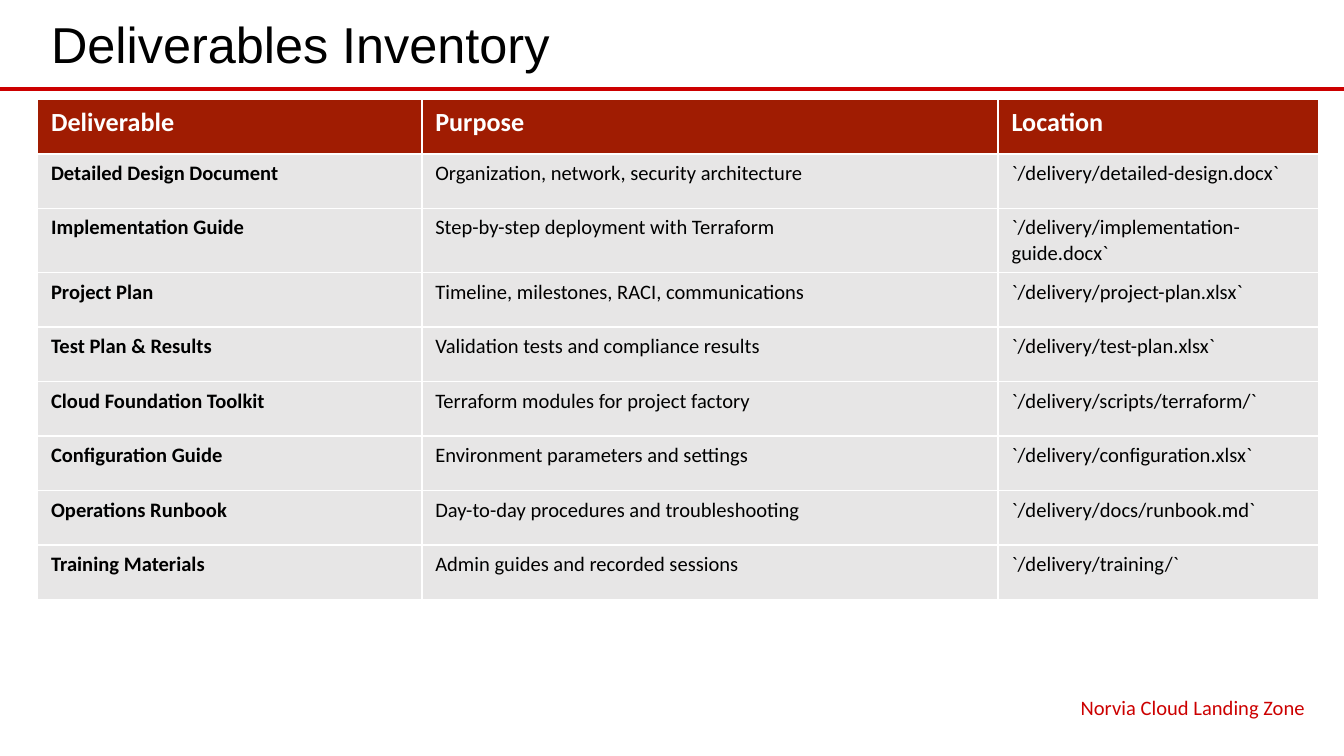
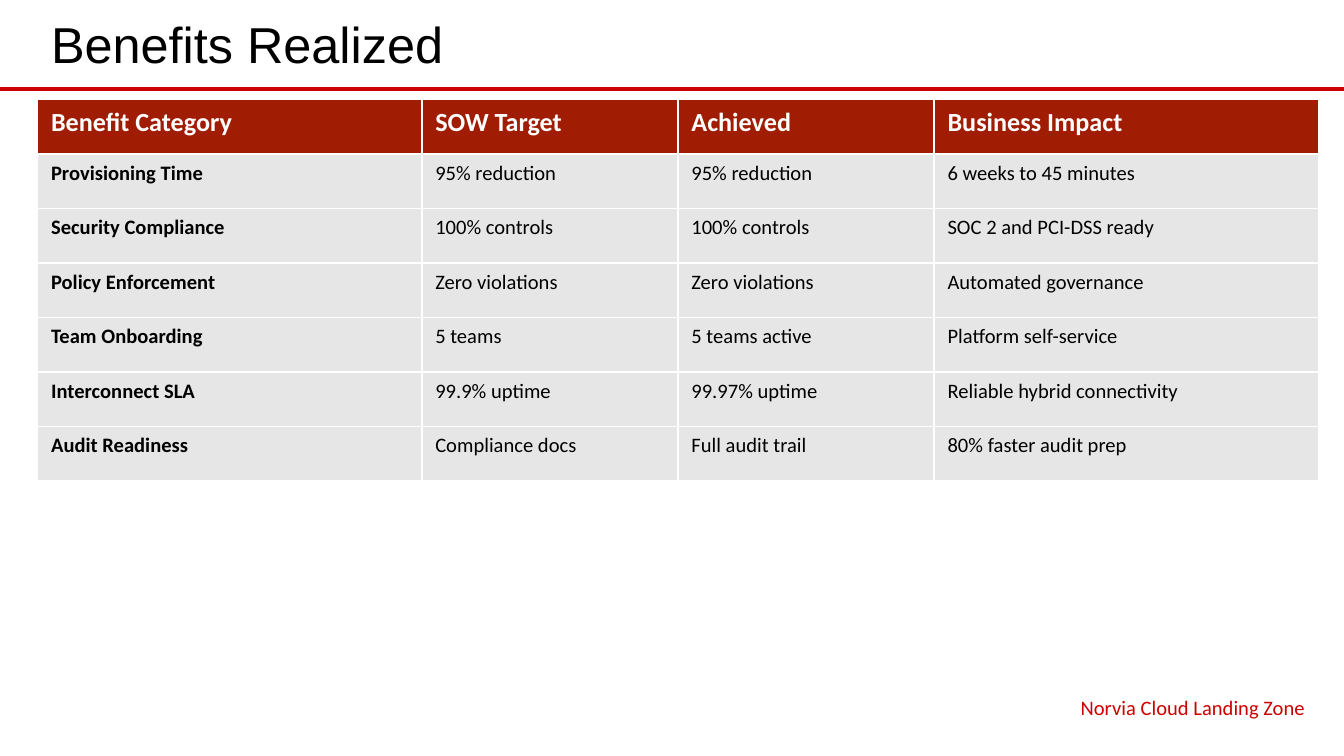
from dataclasses import dataclass

from lxml.etree import SubElement
from pptx import Presentation
from pptx.dml.color import RGBColor
from pptx.enum.shapes import MSO_CONNECTOR
from pptx.enum.text import MSO_ANCHOR as Anchor, MSO_AUTO_SIZE as AutoSize, PP_ALIGN as Align
from pptx.oxml.ns import qn
from pptx.presentation import Presentation as Deck
from pptx.shapes.placeholder import SlidePlaceholder
from pptx.slide import Slide
from pptx.util import Inches, Pt

RED = RGBColor(0xCC, 0x00, 0x00)
DARK_RED = RGBColor(0xA0, 0x1C, 0x02)
GRAY = RGBColor(0xE7, 0xE6, 0xE6)
WHITE = RGBColor(0xFF, 0xFF, 0xFF)
BLACK = RGBColor(0x00, 0x00, 0x00)

SLIDE_WIDTH = Inches(10)
SLIDE_HEIGHT = SLIDE_WIDTH * 9 // 16
LEFT, WIDTH = Inches(0.28), Inches(9.53)
TABLE_TOP = Inches(0.74)
ROW_HEIGHT = Inches(3.65) // 9
RULE_TOP = Inches(0.66)
FOOTER = "Norvia Cloud Landing Zone"


@dataclass(frozen=True)
class TextStyle:
    font: str
    size: int
    color: RGBColor
    bold: bool = False


@dataclass(frozen=True)
class TableSlide:
    title: str
    shares: tuple[float, ...]
    header: tuple[str, ...]
    rows: tuple[tuple[str, ...], ...]


TITLE_STYLE = TextStyle("Arial", 27, BLACK)
FOOTER_STYLE = TextStyle("Calibri", 11, RED)
HEADER_STYLE = TextStyle("Calibri", 14, WHITE, True)
LABEL_STYLE = TextStyle("Calibri", 11, BLACK, True)
BODY_STYLE = TextStyle("Calibri", 11, BLACK)

SLIDES = (
    TableSlide(
        "Deliverables Inventory",
        (0.3, 0.45, 0.25),
        ("Deliverable", "Purpose", "Location"),
        (
            ("Detailed Design Document", "Organization, network, security architecture",
             "`/delivery/detailed-design.docx`"),
            ("Implementation Guide", "Step-by-step deployment with Terraform",
             "`/delivery/implementation-guide.docx`"),
            ("Project Plan", "Timeline, milestones, RACI, communications",
             "`/delivery/project-plan.xlsx`"),
            ("Test Plan & Results", "Validation tests and compliance results",
             "`/delivery/test-plan.xlsx`"),
            ("Cloud Foundation Toolkit", "Terraform modules for project factory",
             "`/delivery/scripts/terraform/`"),
            ("Configuration Guide", "Environment parameters and settings",
             "`/delivery/configuration.xlsx`"),
            ("Operations Runbook", "Day-to-day procedures and troubleshooting",
             "`/delivery/docs/runbook.md`"),
            ("Training Materials", "Admin guides and recorded sessions",
             "`/delivery/training/`"),
        ),
    ),
    TableSlide(
        "Benefits Realized",
        (0.3, 0.2, 0.2, 0.3),
        ("Benefit Category", "SOW Target", "Achieved", "Business Impact"),
        (
            ("Provisioning Time", "95% reduction", "95% reduction", "6 weeks to 45 minutes"),
            ("Security Compliance", "100% controls", "100% controls", "SOC 2 and PCI-DSS ready"),
            ("Policy Enforcement", "Zero violations", "Zero violations", "Automated governance"),
            ("Team Onboarding", "5 teams", "5 teams active", "Platform self-service"),
            ("Interconnect SLA", "99.9% uptime", "99.97% uptime", "Reliable hybrid connectivity"),
            ("Audit Readiness", "Compliance docs", "Full audit trail", "80% faster audit prep"),
        ),
    ),
)


def style_text(p, style: TextStyle) -> None:
    for r in p.runs:
        r.font.name = style.font
        r.font.size = Pt(style.size)
        r.font.bold = style.bold
        r.font.color.rgb = style.color


def fill_placeholder(sp: SlidePlaceholder, box: tuple[int, int, int, int], text: str,
                     style: TextStyle, align: Align, anchor: Anchor) -> None:
    sp.left, sp.top, sp.width, sp.height = box
    tf = sp.text_frame
    tf.text = text
    tf.word_wrap = True
    tf.auto_size = AutoSize.NONE
    tf.vertical_anchor = anchor
    p = tf.paragraphs[0]
    pPr = p._p.get_or_add_pPr()
    pPr.set("marL", "0")
    pPr.set("indent", "0")
    SubElement(pPr, qn("a:buNone"))
    p.alignment = align
    p.space_before = Pt(0)
    style_text(p, style)


def add_rule(s: Slide) -> None:
    rule = s.shapes.add_connector(MSO_CONNECTOR.STRAIGHT, 0, RULE_TOP, SLIDE_WIDTH, RULE_TOP)
    rule.line.color.rgb = RED
    rule.line.width = Pt(2.25)
    SubElement(rule._element.spPr, qn("a:effectLst"))


def add_data_table(s: Slide, data: TableSlide) -> None:
    rows = (data.header, *data.rows)
    table = s.shapes.add_table(len(rows), len(data.shares), LEFT, TABLE_TOP,
                               WIDTH, ROW_HEIGHT * len(rows)).table
    table.horz_banding = False
    for column, share in zip(table.columns, data.shares):
        column.width = round(WIDTH * share)
    for i, texts in enumerate(rows):
        table.rows[i].height = ROW_HEIGHT
        for j, text in enumerate(texts):
            cell = table.cell(i, j)
            cell.fill.solid()
            cell.fill.fore_color.rgb = DARK_RED if i == 0 else GRAY
            cell.text_frame.text = text
            style = HEADER_STYLE if i == 0 else LABEL_STYLE if j == 0 else BODY_STYLE
            style_text(cell.text_frame.paragraphs[0], style)


def add_table_slide(prs: Deck, data: TableSlide) -> None:
    s = prs.slides.add_slide(prs.slide_layouts[1])
    add_rule(s)
    fill_placeholder(s.shapes.title, (LEFT, Inches(0.03), WIDTH, Inches(0.58)),
                     data.title, TITLE_STYLE, Align.LEFT, Anchor.MIDDLE)
    add_data_table(s, data)
    fill_placeholder(s.placeholders[1], (Inches(6.29), Inches(5.12), Inches(3.52), Inches(0.26)),
                     FOOTER, FOOTER_STYLE, Align.RIGHT, Anchor.TOP)


def main() -> None:
    prs = Presentation()
    prs.slide_width, prs.slide_height = SLIDE_WIDTH, SLIDE_HEIGHT
    for data in SLIDES:
        add_table_slide(prs, data)
    prs.save("out.pptx")


if __name__ == "__main__":
    main()
